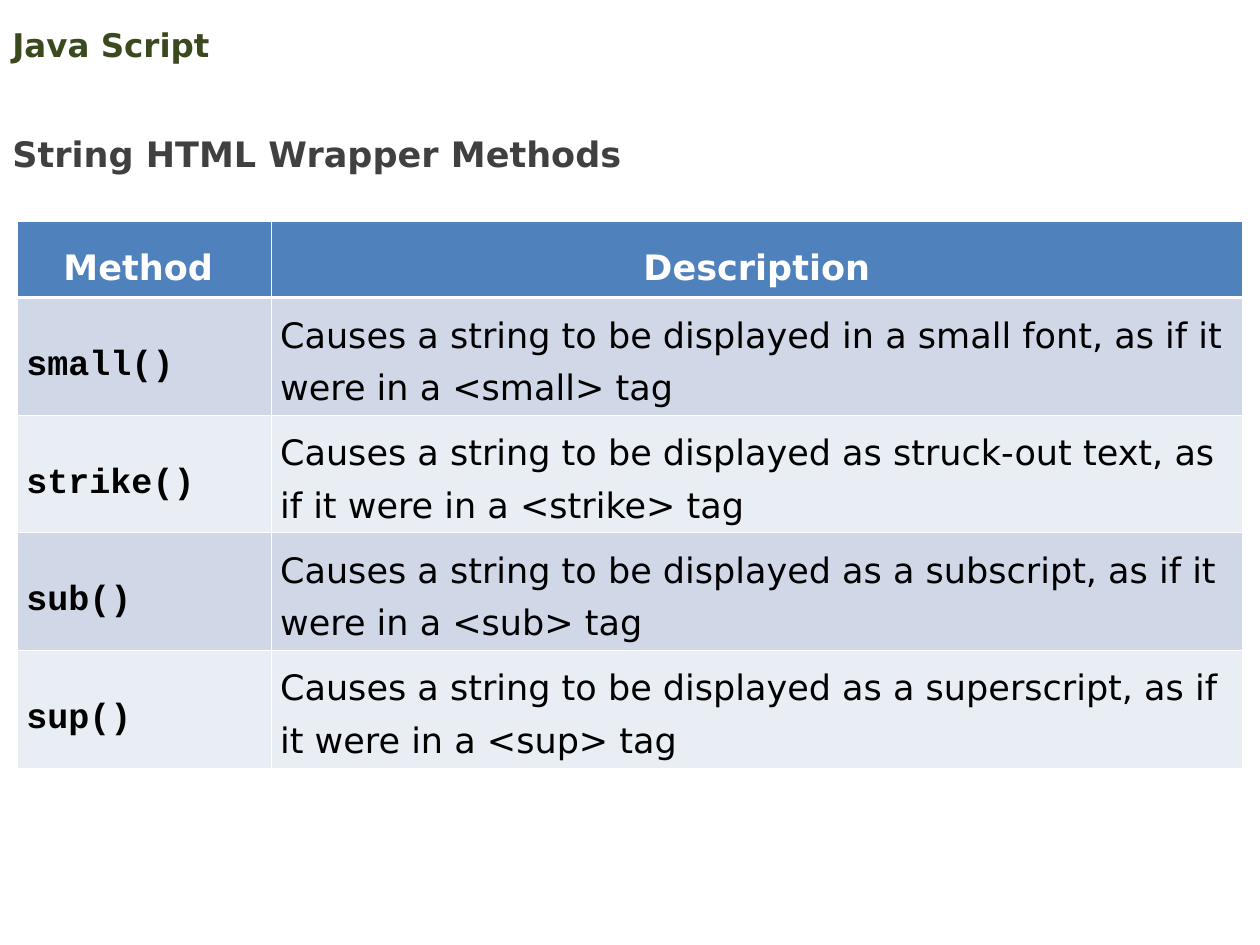
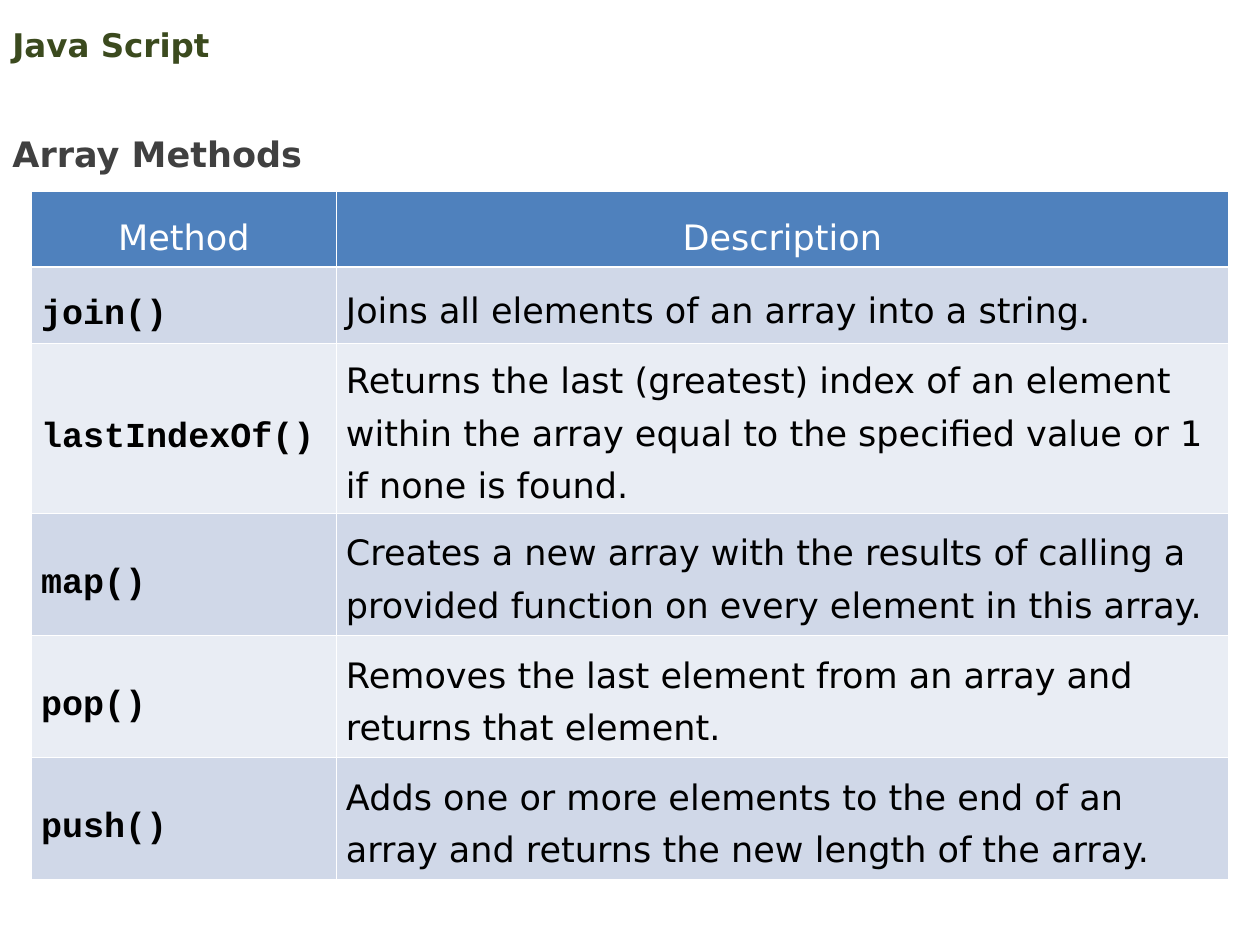
import pptx
import pptx.dml.color
import pptx.enum.text
import pptx.oxml
import pptx.oxml.ns
import pptx.util

Pt = pptx.util.Pt
Color = pptx.dml.color.RGBColor
Align = pptx.enum.text.PP_ALIGN
Anchor = pptx.enum.text.MSO_ANCHOR
Fit = pptx.enum.text.MSO_AUTO_SIZE

WHITE = Color(0xFF, 0xFF, 0xFF)
BLACK = Color(0, 0, 0)
OLIVE = Color(0x3B, 0x4A, 0x1E)
GREY = Color(0x40, 0x40, 0x40)
BLUE = Color(0x4F, 0x81, 0xBD)
BANDS = (Color(0xD0, 0xD8, 0xE8), Color(0xE9, 0xED, 0xF4))
SANS = "DejaVu Sans"
MONO = "Courier New"
THIN, THICK = 0.45, 1.47

STRINGS = [
    ("small()", "Causes a string to be displayed in a small font, as if it were in a <small> tag"),
    ("strike()", "Causes a string to be displayed as struck-out text, as if it were in a <strike> tag"),
    ("sub()", "Causes a string to be displayed as a subscript, as if it were in a <sub> tag"),
    ("sup()", "Causes a string to be displayed as a superscript, as if it were in a <sup> tag"),
]
ARRAYS = [
    ("join()", "Joins all elements of an array into a string."),
    ("lastIndexOf()", "Returns the last (greatest) index of an element within the array "
     "equal to the specified value or 1 if none is found."),
    ("map()", "Creates a new array with the results of calling a provided function "
     "on every element in this array."),
    ("pop()", "Removes the last element from an array and returns that element."),
    ("push()", "Adds one or more elements to the end of an array and returns "
     "the new length of the array."),
]


def write(frame, text, size=20, font=SANS, color=BLACK, bold=False, align=Align.LEFT, space=1.5):
    """Fill a text frame with one formatted paragraph."""
    para = frame.paragraphs[0]
    para.alignment = align
    para.line_spacing = space
    run = para.add_run()
    run.text = text
    run.font.size = Pt(size)
    run.font.name = font
    run.font.bold = bold
    run.font.color.rgb = color


def label(slide, box, text, anchor=Anchor.TOP, fit=Fit.NONE, **style):
    """Add a wrapped text box at the given box."""
    frame = slide.shapes.add_textbox(*map(Pt, box)).text_frame
    frame.word_wrap = True
    frame.auto_size = fit
    frame.vertical_anchor = anchor
    write(frame, text, bold=True, **style)


def edge(cell, side, width):
    """Add a white border line to one side of a cell."""
    space = pptx.oxml.ns.nsdecls("a")
    line = pptx.oxml.parse_xml(
        f'<a:{side} {space} w="{Pt(width)}"><a:solidFill>'
        f'<a:srgbClr val="{WHITE}"/></a:solidFill></a:{side}>')
    cell._tc.get_or_add_tcPr().append(line)


def paint(cell, row, inset):
    """Set the borders, fill and margins of a cell by its row."""
    widths = {"lnL": THIN, "lnR": THIN,
              "lnT": THICK if row == 1 else THIN,
              "lnB": THICK if row == 0 else THIN}
    for side, width in widths.items():
        edge(cell, side, width)
    cell.fill.solid()
    cell.fill.fore_color.rgb = BANDS[(row - 1) % 2] if row else BLUE
    cell.margin_left = cell.margin_right = Pt(inset)
    cell.margin_top = cell.margin_bottom = Pt(3.6)
    cell.vertical_anchor = Anchor.MIDDLE if row else Anchor.TOP


def grid(slide, left, top, cols, heights, heads, items, inset, bold):
    """Add a table of methods with its heading row."""
    shape = slide.shapes.add_table(len(heights), len(cols), Pt(left), Pt(top),
                                   Pt(sum(cols)), Pt(sum(heights)))
    table = shape.table
    for col, width in zip(table.columns, cols):
        col.width = Pt(width)
    styles = (dict(font=MONO, bold=True), dict(space=Pt(30)))
    header = dict(color=WHITE, bold=bold, align=Align.CENTER)
    for row, (height, texts) in enumerate(zip(heights, [heads, *items])):
        table.rows[row].height = Pt(height)
        for col, text in enumerate(texts):
            cell = table.cell(row, col)
            paint(cell, row, inset)
            write(cell.text_frame, text, **(styles[col] if row else header))


def page(deck, title, **parts):
    """Add a slide with course name, title and method table."""
    slide = deck.slides.add_slide(deck.slide_layouts[6])
    label(slide, (0, 10, 648, 31), "Java Script", anchor=Anchor.MIDDLE,
          size=18.6, color=OLIVE, space=1.0)
    label(slide, (0, 60, 392.4, 43), title, fit=Fit.SHAPE_TO_FIT_TEXT, color=GREY)
    grid(slide, **parts)


def main():
    """Build and save the deck."""
    deck = pptx.Presentation()
    deck.slide_width, deck.slide_height = Pt(720), Pt(540)
    page(deck, "String HTML Wrapper Methods", left=10, top=126.7, cols=(145, 555),
         heights=[36] + [60] * 4, heads=("Method ", "Description"),
         items=STRINGS, inset=5.1, bold=True)
    page(deck, "Array Methods", left=18, top=109.5, cols=(174.2, 509.8),
         heights=[37.5, 37.5, 93.6] + [69.8] * 3, heads=("Method", "Description"),
         items=ARRAYS, inset=5.5, bold=False)
    deck.save("out.pptx")


if __name__ == "__main__":
    main()
